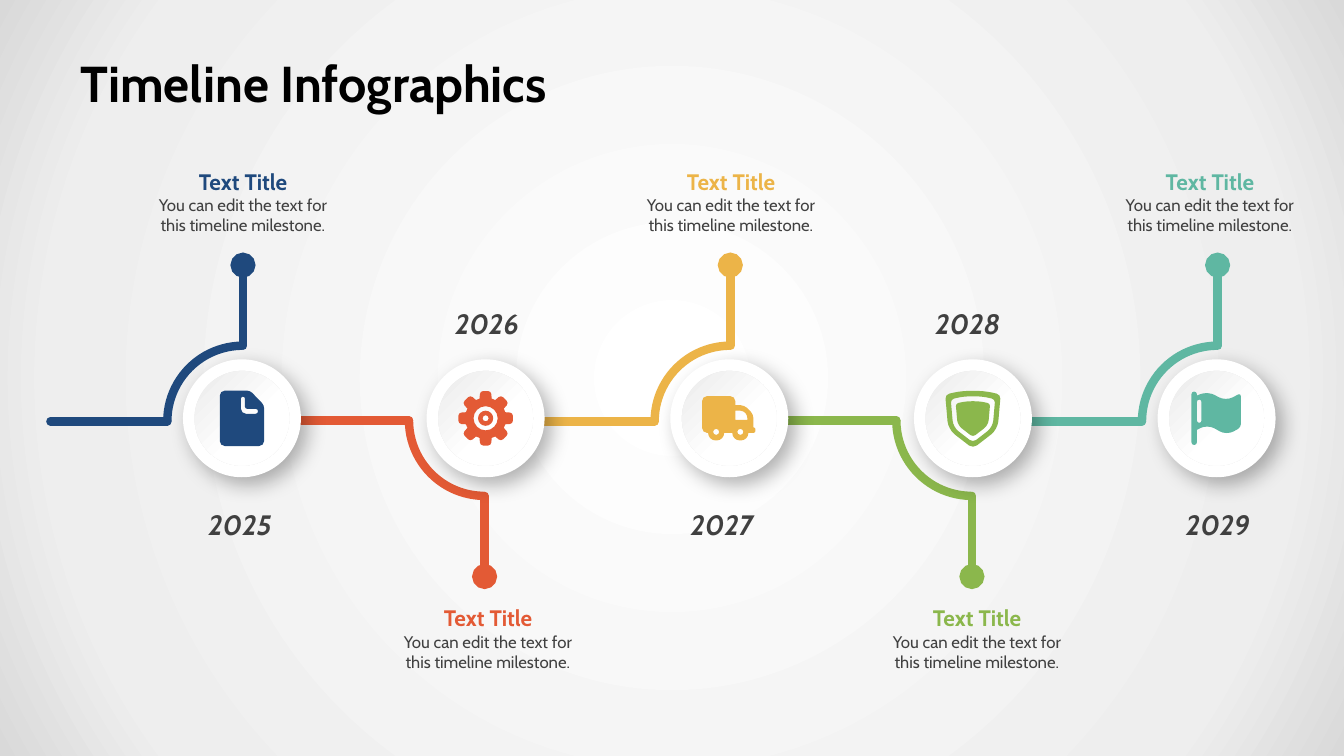
"""Build a five-milestone timeline slide with alternating branches and icons."""
import math

from lxml import etree
from pptx import Presentation
from pptx.dml.color import RGBColor
from pptx.enum.shapes import MSO_CONNECTOR, MSO_SHAPE
from pptx.enum.text import MSO_ANCHOR, MSO_AUTO_SIZE, PP_ALIGN
from pptx.oxml import parse_xml
from pptx.oxml.ns import qn
from pptx.util import Inches, Pt

ARC, OVAL, STRAIGHT = MSO_SHAPE.ARC, MSO_SHAPE.OVAL, MSO_CONNECTOR.STRAIGHT
MIDDLE, CENTER, LEFT = MSO_ANCHOR.MIDDLE, PP_ALIGN.CENTER, PP_ALIGN.LEFT
NO_AUTOFIT = MSO_AUTO_SIZE.NONE

TITLE = "Timeline Infographics"
HEADING = "Text Title"
DETAIL = "You can edit the text for this timeline milestone."
MILESTONES = [
    {"year": "2025", "color": "1F497D", "icon": "document", "year_x": 2.38, "caption_x": 2.41},
    {"year": "2026", "color": "E35A35", "icon": "gear", "year_x": 4.83, "caption_x": 4.84},
    {"year": "2027", "color": "ECB448", "icon": "truck", "year_x": 7.16, "caption_x": 7.25},
    {"year": "2028", "color": "8BB74C", "icon": "shield", "year_x": 9.6, "caption_x": 9.69},
    {"year": "2029", "color": "5FB7A2", "icon": "flag", "year_x": 12.08, "caption_x": 12},
]
SIDES = [
    {"shift": 0.01, "rail": 4.18, "turn": 3.43, "tip": 2.63, "arc": 3.43, "year": 4.98, "caption": 1.5},
    {"shift": -0.01, "rail": 4.17, "turn": 4.92, "tip": 5.72, "arc": 3.42, "year": 2.99, "caption": 5.83},
]
FIRST_X, PITCH = 2.4, 29 / 12
MEDAL_Y, MEDAL, DISC = 4.15, 1.17, 0.94
ARC_SIZE, RAIL_LENGTH = 1.5, 1.16
YEAR_SIZE, CAPTION_SIZE = (0.85, 0.44), (2.02, 1)
INK = "404040"
YEAR_FONT = {"size": Pt(20), "bold": True, "italic": True}
HEADING_FONT = {"size": Pt(16), "bold": True}
DETAIL_FONT = {"size": Pt(12), "bold": False}
TITLE_FONT = {"size": Pt(36), "bold": True}
TITLE_INSETS = {"margin_left": Inches(0.13), "margin_right": Inches(0.13),
                "margin_top": Inches(0.07), "margin_bottom": Inches(0.07)}
DRAWING = "http://schemas.openxmlformats.org/drawingml/2006/main"
BACKGROUND_STOPS = [(0, "FFFFFF"), (81, "EEEEEE"), (100, "D9D9D9")]
DISC_STOPS = [(0, "EBEBEB"), (0.6, "FFFFFF")]


def dot(x, y, radius):
    """Return a round outline as a square with full corner radii."""
    return [(x + sx * radius, y + sy * radius, radius)
            for sx, sy in ((-1, -1), (1, -1), (1, 1), (-1, 1))]


def turned(outline, angle):
    """Turn an outline about the centre."""
    c, s = math.cos(angle), math.sin(angle)
    return [(x * c - y * s, x * s + y * c, r) for x, y, r in outline]


TOOTH = [(-6, -19.5, 0), (-5.5, -27, 3), (5.5, -27, 3), (6, -19.5, 0)]
SHIELD = [(-27.5, -23.5, 4), (0, -30, 20), (27.5, -23.5, 4), (24.5, 11, 8), (0, 30, 5), (-24.5, 11, 8)]
ICONS = {
    "document": [
        [(-22, -27.5, 5), (8, -27.5, 3), (22, -13, 3), (22, 27.5, 5), (-22, 27.5, 5)],
        [(-1, -21.5, 2), (3, -21.5, 2), (3, -9.5, 2), (16, -9.5, 2.5), (16, -4.5, 2.5), (-1, -4.5, 5)]],
    "gear": [[corner for step in range(8) for corner in turned(TOOTH, step * math.pi / 4)],
             dot(0, 0, 12), dot(0, 0, 7.5), dot(0, 0, 3)],
    "truck": [
        [(-27, -22, 5), (6, -22, 5), (6, -13, 0), (15, -13, 4), (24, -4, 4), (24, 9, 0),
         (26, 9, 2), (26, 14.5, 2), (19, 14.5, 0), (19, 22, 7.5), (3, 22, 7.5), (3, 14.5, 0),
         (-5, 14.5, 0), (-5, 22, 7.5), (-21, 22, 7.5), (-21, 14.5, 0), (-27, 14.5, 5)],
        [(6, -7.5, 0), (14, -7.5, 3), (18, -3, 3), (18, 1.5, 0), (6, 1.5, 0)],
        dot(11, 13.5, 3), dot(-13, 13.5, 3)],
    "shield": [[tuple(share * value for value in corner) for corner in SHIELD] for share in (1, 0.8, 0.62)],
    "flag": [
        [(-25, -26.5, 2.7), (-19.5, -26.5, 2.7), (-19.5, -22.5, 0), (-9, -27, 8), (9, -17, 8),
         (24, -25, 3), (24, 9, 3), (10, 17, 8), (-9, 6, 8), (-19.5, 11.5, 0),
         (-19.5, 26.5, 2.7), (-25, 26.5, 2.7)],
        [(-19.5, -18.5, 2.2), (-15, -18.5, 2.2), (-15, 4.5, 2.2), (-19.5, 4.5, 2.2)]],
}


def apply(target, values):
    """Set every attribute named in values."""
    for name, value in values.items():
        setattr(target, name, value)


def paint(fill, color):
    """Fill with one hex colour."""
    fill.solid()
    fill.fore_color.rgb = RGBColor.from_string(color)


def rounded(outline):
    """Return (x, y, ends_curve) points for an outline of (x, y, radius) corners."""
    points = []
    for i, (x, y, radius) in enumerate(outline):
        if not radius:
            points.append((x, y, False))
            continue
        before, after = outline[i - 1], outline[(i + 1) % len(outline)]
        for (nx, ny, _), reach in ((before, 1), (before, 0.45), (after, 0.45), (after, 1)):
            share = reach * radius / math.hypot(nx - x, ny - y)
            points.append((x + (nx - x) * share, y + (ny - y) * share, len(points) < 0))
        points[-1] = (*points[-1][:2], True)
    return points


def add_icon(shapes, icon, x, y, color):
    """Draw an icon, given in hundredths of an inch, with curved corners."""
    contours = [rounded(outline) for outline in ICONS[icon]]
    builder = shapes.build_freeform(scale=Inches(1) / Inches(0.01) * 91.44)
    for contour in contours:
        places = [(Inches(px / 100), Inches(py / 100)) for px, py, _ in contour]
        if contour is contours[0]:
            builder = shapes.build_freeform(*places[0])
        else:
            builder.move_to(*places[0])
        builder.add_line_segments(places[1:], close=True)
    shape = builder.convert_to_shape(Inches(x), Inches(y))
    shape.shadow.inherit = False
    paint(shape.fill, color)
    shape.line.fill.background()
    nodes = [node for node in shape._element.iter(qn("a:moveTo"), qn("a:lnTo"))]
    ends = [end for contour in contours for _, _, end in contour]
    for i, end in enumerate(ends):
        if end:
            curve = etree.Element(qn("a:cubicBezTo"))
            nodes[i - 2].addprevious(curve)
            for node in nodes[i - 2:i + 1]:
                curve.append(node[0])
                node.getparent().remove(node)


def style_line(line, color):
    """Give a branch its colour, width and round ends."""
    paint(line.fill, color)
    line.width = Pt(6)
    line._get_or_add_ln().set("cap", "rnd")


def add_branch(shapes, x, side, color):
    """Draw the rail, quarter arc and dotted stem of a milestone."""
    start = x - ARC_SIZE / 2
    arc = shapes.add_shape(ARC, *map(Inches, (start, side["arc"], ARC_SIZE, ARC_SIZE)))
    arc.adjustments[0], arc.adjustments[1] = 108.129, 161.314
    arc.shadow.inherit = False
    arc.fill.background()
    style_line(arc.line, color)
    if side["tip"] > side["turn"]:
        arc._element.spPr.find(qn("a:xfrm")).set("flipV", "1")
    rail = (start, side["rail"], start - RAIL_LENGTH, side["rail"])
    stem = (x, side["turn"], x, side["tip"])
    for ends in (rail, stem):
        connector = shapes.add_connector(STRAIGHT, *map(Inches, ends))
        style_line(connector.line, color)
        if ends is stem:
            etree.SubElement(connector.line._get_or_add_ln(), qn("a:tailEnd"), type="oval")
        etree.SubElement(connector._element.spPr, qn("a:effectLst"))


def add_medal(shapes, x):
    """Draw the shadowed white circle and its shaded inner disc."""
    for size in (MEDAL, DISC):
        circle = shapes.add_shape(OVAL, *map(Inches, (x - size / 2, MEDAL_Y - size / 2, size, size)))
        circle.line.fill.background()
        circle.shadow.inherit = False
        if size == MEDAL:
            paint(circle.fill, "FFFFFF")
            circle._element.spPr.find(qn("a:effectLst")).append(parse_xml(
                f'<a:outerShdw xmlns:a="{DRAWING}" blurRad="{Pt(15)}" dist="{Pt(7)}" dir="2700000" algn="tl" '
                'rotWithShape="0"><a:srgbClr val="000000"><a:alpha val="30000"/></a:srgbClr></a:outerShdw>'))
        else:
            circle.fill.gradient()
            circle.fill.gradient_angle = 315
            for stop, (place, tone) in zip(circle.fill.gradient_stops, DISC_STOPS):
                stop.position, stop.color.rgb = place, RGBColor.from_string(tone)


def add_text(shapes, area, lines, align=CENTER, **layout):
    """Add a text box with one paragraph per (text, colour, font) line."""
    frame = shapes.add_textbox(*map(Inches, area)).text_frame
    apply(frame, {"word_wrap": True, "auto_size": NO_AUTOFIT, "vertical_anchor": MIDDLE, **layout})
    for i, (text, color, font) in enumerate(lines):
        paragraph = frame.add_paragraph() if i else frame.paragraphs[0]
        paragraph.alignment = align
        run = paragraph.add_run()
        run.text = text
        apply(run.font, {"name": "Cabin", **font})
        paint(run.font.fill, color)


def set_background(slide):
    """Fill the slide with a gradient that darkens from the centre."""
    stops = "".join(f'<a:gs pos="{place * 1000}"><a:srgbClr val="{tone}"/></a:gs>'
                    for place, tone in BACKGROUND_STOPS)
    slide.background.fill.solid()
    solid = next(slide._element.iter(qn("a:solidFill")))
    solid.getparent().replace(solid, parse_xml(
        f'<a:gradFill xmlns:a="{DRAWING}" rotWithShape="1"><a:gsLst>{stops}</a:gsLst><a:path path="circle">'
        '<a:fillToRect l="50000" t="50000" r="50000" b="50000"/></a:path></a:gradFill>'))


deck = Presentation()
deck.slide_width, deck.slide_height = Inches(13.33), Inches(7.5)
timeline = deck.slides.add_slide(deck.slide_layouts[6])
set_background(timeline)
canvas = timeline.shapes
columns = [(FIRST_X + i * PITCH, SIDES[i % 2], item) for i, item in enumerate(MILESTONES)]
for x, side, item in columns:
    add_branch(canvas, x + side["shift"], side, item["color"])
for x, side, item in columns:
    add_medal(canvas, x)
    add_icon(canvas, item["icon"], x, MEDAL_Y, item["color"])
    add_text(canvas, (item["year_x"] - YEAR_SIZE[0] / 2, side["year"], *YEAR_SIZE),
             [(item["year"], INK, YEAR_FONT)], word_wrap=False)
    add_text(canvas, (item["caption_x"] - CAPTION_SIZE[0] / 2, side["caption"], *CAPTION_SIZE),
             [(HEADING, item["color"], HEADING_FONT), (DETAIL, INK, DETAIL_FONT)])
add_text(canvas, (0.67, 0.43, 12, 0.78), [(TITLE, "000000", TITLE_FONT)], LEFT, **TITLE_INSETS)
deck.save("out.pptx")
